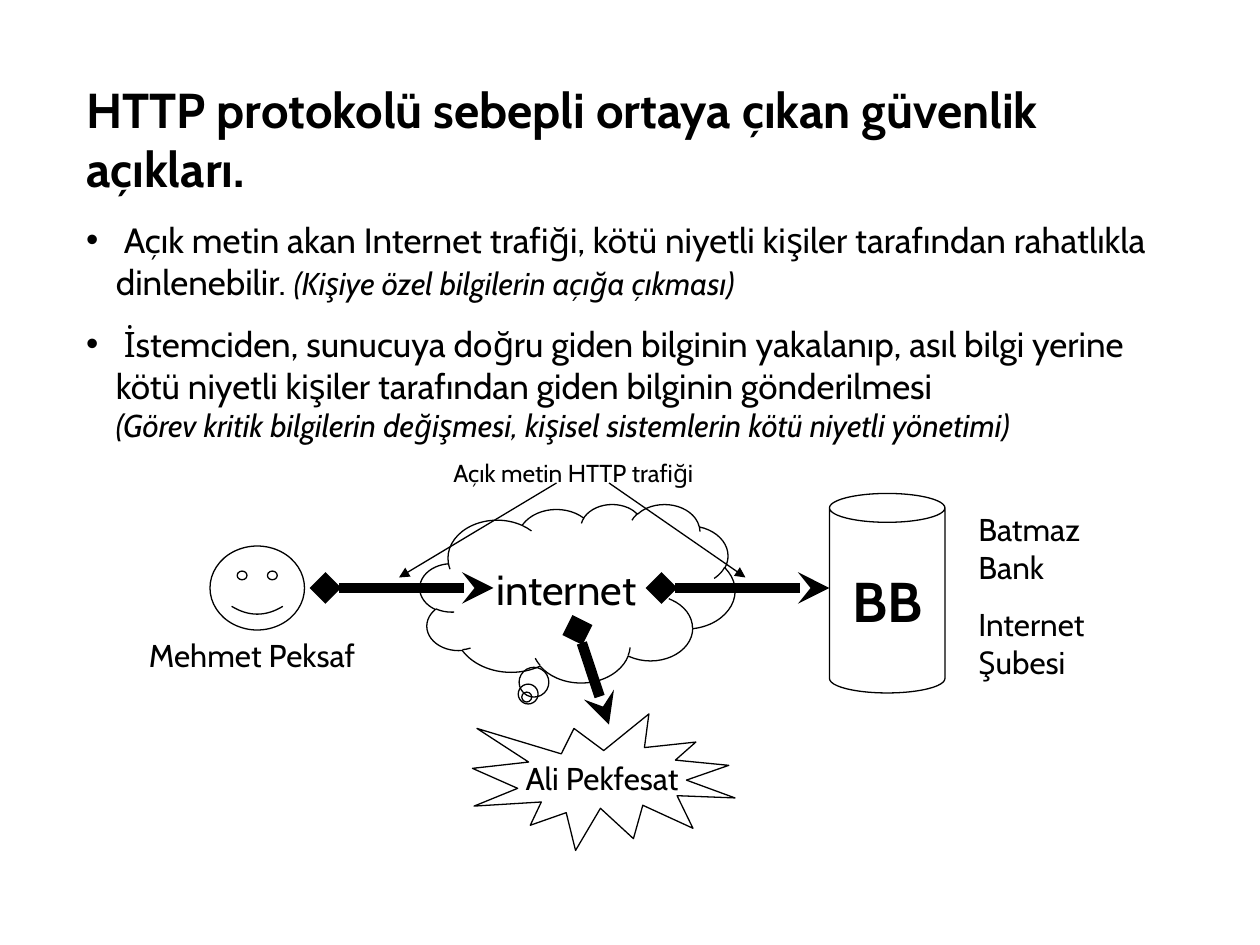
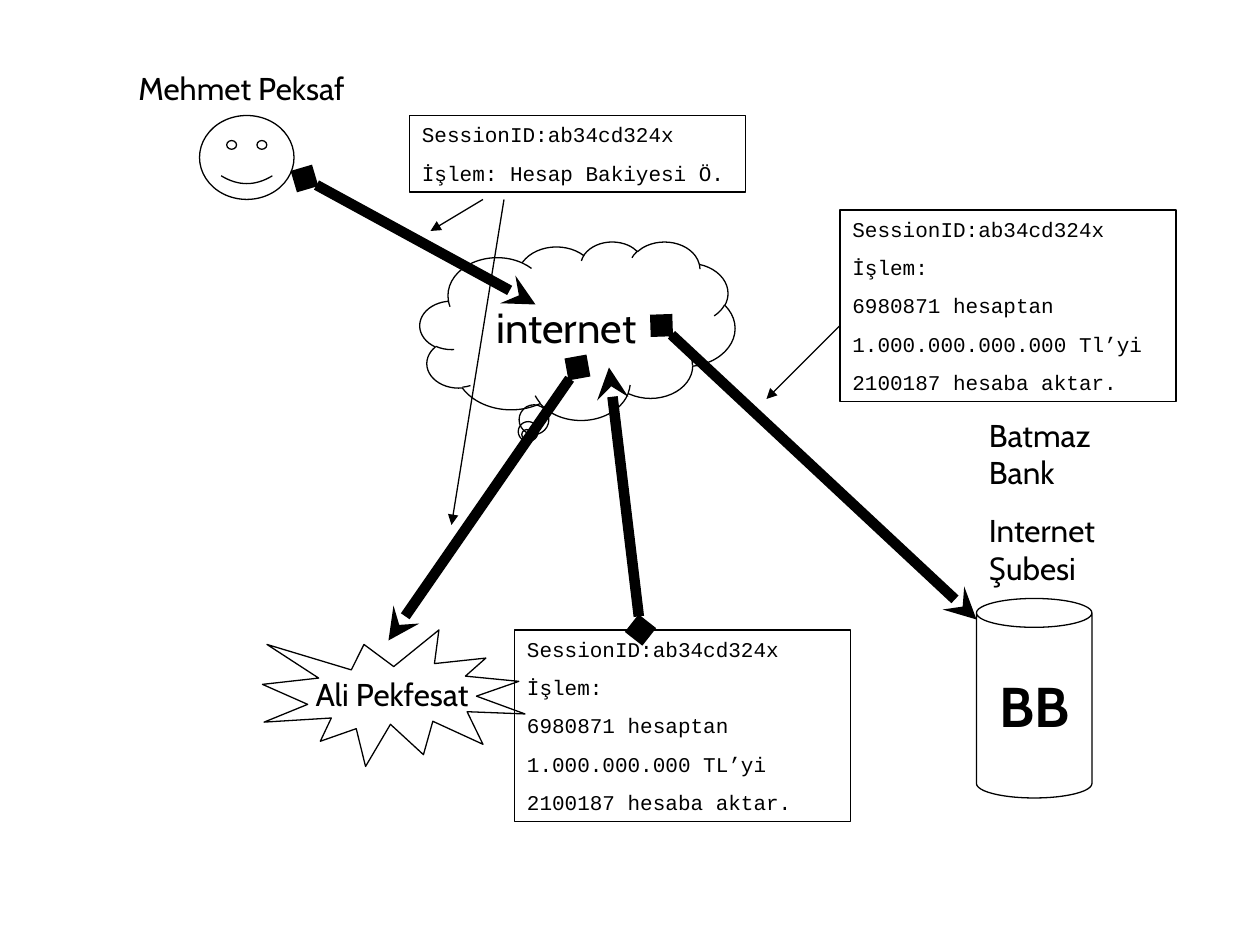
"""Build two slides on how plain HTTP traffic can be intercepted."""
import pptx
import pptx.dml.color
import pptx.enum.shapes
import pptx.enum.text
import pptx.util
from lxml import etree
from pptx.oxml.ns import qn

COLORS = {"ink": "000000", "paper": "FFFFFF"}
FONTS = {"text": "Cabin", "code": "Courier New"}
GRID_CM = 2.54 / 12
SHAPES = pptx.enum.shapes.MSO_SHAPE
ALIGN = pptx.enum.text.PP_ALIGN
ANCHOR = pptx.enum.text.MSO_ANCHOR


def grid(*counts):
    return [pptx.util.Cm(count * GRID_CM) for count in counts]


def color(name):
    return pptx.dml.color.RGBColor.from_string(COLORS[name])


def write(paragraph, text, size=18, font="text", bold=False, italic=False,
          align=ALIGN.LEFT, before=0):
    paragraph.alignment = align
    paragraph.space_before = pptx.util.Pt(before)
    run = paragraph.add_run()
    run.text = text
    run.font.name = FONTS[font]
    run.font.size = pptx.util.Pt(size)
    run.font.bold = bold
    run.font.italic = italic
    run.font.color.rgb = color("ink")


class Drawing:
    """Holds the shared style and draws on the current slide."""

    def __init__(self, presentation):
        self.presentation = presentation
        self.slide = None

    def new_slide(self, layout):
        self.slide = self.presentation.slides.add_slide(
            self.presentation.slide_layouts[layout])
        self.slide.background.fill.solid()
        self.slide.background.fill.fore_color.rgb = color("paper")

    def prepare(self, shape, wrap=True, anchor=ANCHOR.TOP):
        frame = shape.text_frame
        frame.word_wrap = wrap
        frame.auto_size = pptx.enum.text.MSO_AUTO_SIZE.NONE
        frame.vertical_anchor = anchor
        return frame

    def placeholder(self, index, *box):
        shape = self.slide.placeholders[index]
        shape.left, shape.top, shape.width, shape.height = grid(*box)
        return self.prepare(shape)

    def title(self, text):
        frame = self.placeholder(0, 7, 7, 106, 12.6)
        write(frame.paragraphs[0], text, size=28, bold=True)

    def bullets(self, items):
        frame = self.placeholder(1, 7, 20.2, 106, 22.5)
        indent = pptx.util.Cm(0.6)
        for number, (statement, remark, new_line) in enumerate(items):
            paragraph = frame.add_paragraph() if number else frame.paragraphs[0]
            properties = paragraph._p.get_or_add_pPr()
            properties.set("marL", str(indent))
            properties.set("indent", str(-indent))
            before = 11.2 if number else 0
            write(paragraph, statement, size=20, before=before)
            if new_line:
                paragraph.add_line_break()
            write(paragraph, remark, italic=True, before=before)

    def lines_of_text(self, frame, lines, before, **style):
        for number, line in enumerate(lines):
            paragraph = frame.add_paragraph() if number else frame.paragraphs[0]
            write(paragraph, line, before=before if number else 0, **style)

    def label(self, box, *lines, **style):
        shape = self.slide.shapes.add_textbox(*grid(*box))
        self.lines_of_text(self.prepare(shape), lines, 11.2, **style)

    def outline(self, kind, box):
        shape = self.slide.shapes.add_shape(kind, *grid(*box))
        shape.shadow.inherit = False
        shape.fill.background()
        shape.line.color.rgb = color("ink")
        shape.line.width = pptx.util.Pt(0.75)
        return shape

    def node(self, kind, box, text="", **style):
        shape = self.outline(kind, box)
        if text:
            frame = self.prepare(shape, wrap=False, anchor=ANCHOR.MIDDLE)
            write(frame.paragraphs[0], text, align=ALIGN.CENTER, **style)
        return shape

    def message(self, left, top, *lines):
        shape = self.outline(SHAPES.RECTANGLE, (left, top, 32, 0.7 + 3.65 * len(lines) - 0.7))
        self.lines_of_text(self.prepare(shape), lines, 7.5, size=12, font="code")

    def arrow(self, start, end, width=0.75, head=None, tail="triangle"):
        connector = self.slide.shapes.add_connector(
            pptx.enum.shapes.MSO_CONNECTOR.STRAIGHT, *grid(*start, *end))
        connector.line.color.rgb = color("ink")
        connector.line.width = pptx.util.Pt(width)
        line = connector.line._get_or_add_ln()
        for tag, kind in (("a:headEnd", head), ("a:tailEnd", tail)):
            if kind:
                etree.SubElement(line, qn(tag)).set("type", kind)
        etree.SubElement(connector._element.spPr, qn("a:effectLst"))

    def traffic(self, start, end):
        self.arrow(start, end, width=6, head="diamond", tail="stealth")

    def parties(self, attacker, cloud, user, server, bank, user_name):
        self.node(SHAPES.EXPLOSION1, (*attacker, 25, 13), "Ali Pekfesat")
        internet = self.node(SHAPES.CLOUD_CALLOUT, (*cloud, 30, 17), "internet", size=24)
        internet.adjustments[0] = -0.161
        internet.adjustments[1] = 0.582
        self.node(SHAPES.SMILEY_FACE, (*user, 9, 8))
        self.node(SHAPES.CAN, (*server, 11, 19), "BB", size=32, bold=True)
        self.label((*bank, 14, 17.5), "Batmaz Bank", "Internet Şubesi")
        self.label((*user_name, 24, 8.4), "Mehmet Peksaf")


def build_weaknesses(drawing):
    drawing.new_slide(1)
    drawing.title("HTTP protokolü sebepli ortaya çıkan güvenlik açıkları.")
    drawing.bullets([
        (" Açık metin akan Internet trafiği, kötü niyetli kişiler tarafından "
         "rahatlıkla dinlenebilir. ",
         "(Kişiye özel bilgilerin açığa çıkması)", False),
        (" İstemciden, sunucuya doğru giden bilginin yakalanıp, asıl bilgi yerine "
         "kötü niyetli kişiler tarafından giden bilginin gönderilmesi",
         "(Görev kritik bilgilerin değişmesi, kişisel sistemlerin kötü niyetli "
         "yönetimi)", True),
    ])
    drawing.parties(attacker=(45, 68), cloud=(40, 48), user=(20, 52),
                    server=(79, 47), bank=(92, 48), user_name=(13, 60))
    drawing.traffic((31, 56), (47, 56))
    drawing.traffic((63, 56), (79, 56))
    drawing.traffic((55, 60), (58, 69))
    drawing.label((42, 43, 28, 4), "Açık metin HTTP trafiği", size=14)
    drawing.arrow((53, 46), (38, 55))
    drawing.arrow((58, 46), (71, 55))


def build_hijacking(drawing):
    session = "SessionID:ab34cd324x"
    drawing.new_slide(6)
    drawing.parties(attacker=(25, 60), cloud=(40, 23), user=(19, 11),
                    server=(93, 57), bank=(93, 39), user_name=(12, 6))
    drawing.traffic((29, 17), (51, 29))
    drawing.traffic((63, 31), (93, 59))
    drawing.traffic((55, 35), (37, 61))
    drawing.message(39, 11, session, "İşlem: Hesap Bakiyesi Ö.")
    for left, top, amount in ((49, 60, "1.000.000.000 TL’yi"),
                              (80, 20, "1.000.000.000.000 Tl’yi")):
        drawing.message(left, top, session, "İşlem:", "6980871 hesaptan",
                        amount, "2100187 hesaba aktar.")
    drawing.traffic((61, 60), (58, 35))
    drawing.arrow((80, 31), (73, 38))
    drawing.arrow((46, 19), (41, 22))
    drawing.arrow((48, 19), (43, 50))


def main():
    presentation = pptx.Presentation()
    presentation.slide_width = pptx.util.Cm(25.4)
    presentation.slide_height = pptx.util.Cm(19.05)
    drawing = Drawing(presentation)
    build_weaknesses(drawing)
    build_hijacking(drawing)
    presentation.save("out.pptx")


if __name__ == "__main__":
    main()
